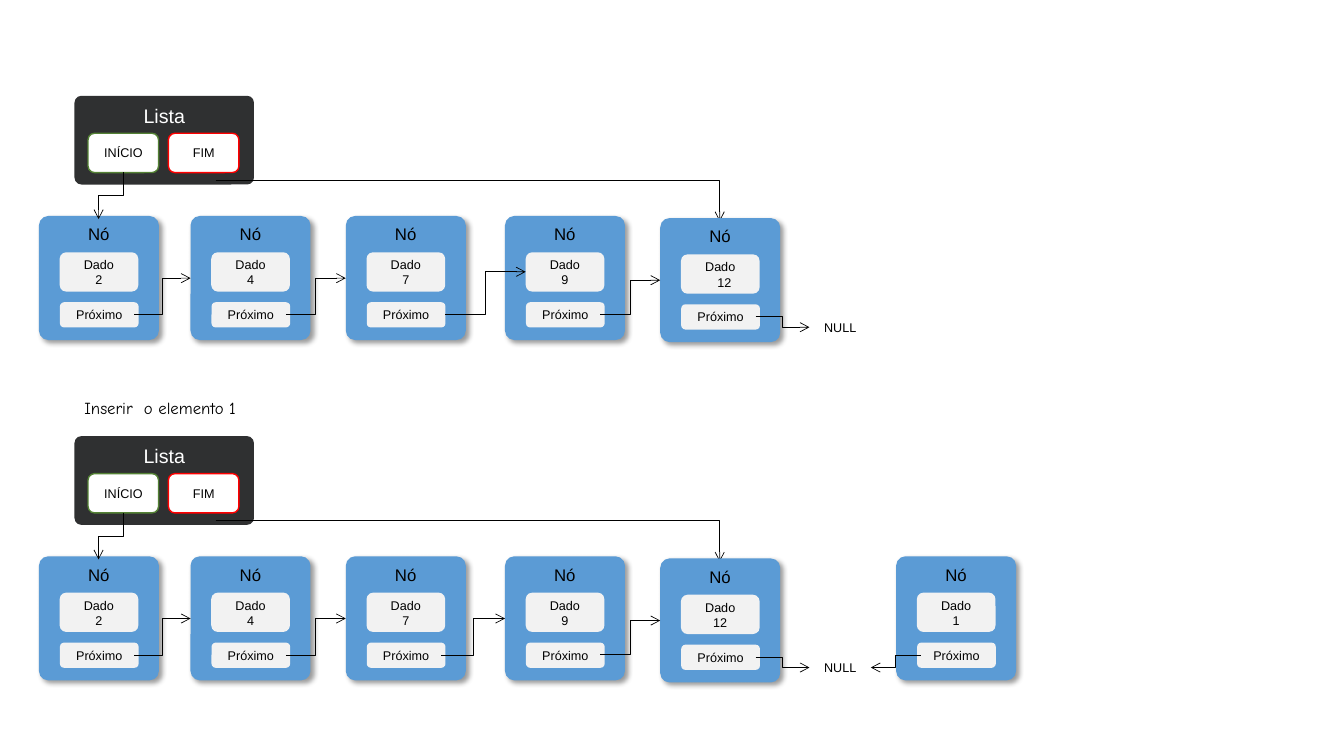
from lxml.etree import SubElement
from pptx import Presentation
from pptx.dml.color import RGBColor
from pptx.enum.shapes import MSO_CONNECTOR as Connector, MSO_SHAPE as Shape
from pptx.enum.text import MSO_AUTO_SIZE as AutoSize, PP_ALIGN as Align
from pptx.oxml.ns import qn
from pptx.util import Pt

BLACK = RGBColor(0x00, 0x00, 0x00)
WHITE = RGBColor(0xFF, 0xFF, 0xFF)
BLUE = RGBColor(0x5B, 0x9B, 0xD5)
LIGHT = RGBColor(0xF2, 0xF2, 0xF2)
DARK = RGBColor(0x2F, 0x30, 0x31)
RED = RGBColor(0xFF, 0x00, 0x00)
GREEN = RGBColor(0x54, 0x82, 0x35)

NODE_WIDTH, NODE_HEIGHT = 85.7, 88.6
NODE_LEFTS = [27.8, 136.1, 247, 360.7, 471.6]
NODE_VALUES = ["2", "4", "7", "9", "12"]
NEW_NODE_LEFT = 640.1
TAIL_DROP = 1.5  # the last node sits slightly lower
ROW_TOPS = [154.3, 397.4]
LINK_OUT = (68.2, 70.4)  # where a pointer leaves a node
LINK_IN = 44.4  # height at which a pointer reaches a node
NULL_LEFT, NULL_WIDTH = 578.2, 43.9


class ListDiagram:
    """Linked-list drawing style bound to one slide."""

    def __init__(self, page, font="Arial"):
        self.page = page
        self.shapes = page.shapes
        self.font = font

    def start_group(self):
        self.shapes = self.page.shapes.add_group_shape().shapes

    def end_group(self):
        self.shapes = self.page.shapes

    def box(self, left, top, width, height, fill, line=None, corner=None, shadow=False):
        box = self.shapes.add_shape(
            Shape.ROUNDED_RECTANGLE, Pt(left), Pt(top), Pt(width), Pt(height))
        box.shadow.inherit = False
        if corner is not None:
            box.adjustments[0] = corner
        box.fill.solid()
        box.fill.fore_color.rgb = fill
        if line is None:
            box.line.fill.background()
        else:
            box.line.color.rgb = line
            box.line.width = Pt(1)
        if shadow:
            effects = box._element.spPr.find(qn("a:effectLst"))
            outer = SubElement(effects, qn("a:outerShdw"), blurRad=str(Pt(4)),
                               dist=str(Pt(3)), dir="2700000", algn="tl", rotWithShape="0")
            color = SubElement(outer, qn("a:srgbClr"), val="000000")
            SubElement(color, qn("a:alpha"), val="40000")

    def label(self, text, left, top, width, height=18, size=9, color=BLACK,
              font=None, align=Align.CENTER, wrap=True):
        frame = self.shapes.add_textbox(Pt(left), Pt(top), Pt(width), Pt(height)).text_frame
        frame.word_wrap = wrap
        frame.auto_size = AutoSize.SHAPE_TO_FIT_TEXT
        para = frame.paragraphs[0]
        para.alignment = align
        span = para.add_run()
        span.text = text
        span.font.size = Pt(size)
        span.font.name = font or self.font
        span.font.color.rgb = color

    def arrow(self, start_x, start_y, end_x, end_y, preset="bentConnector3"):
        link = self.shapes.add_connector(
            Connector.ELBOW, Pt(start_x), Pt(start_y), Pt(end_x), Pt(end_y))
        link.line.color.rgb = BLACK
        link.line.width = Pt(0.5)
        SubElement(link.line._get_or_add_ln(), qn("a:tailEnd"), type="arrow")
        properties = link._element.spPr
        SubElement(properties, qn("a:effectLst"))
        properties.find(qn("a:prstGeom")).set("prst", preset)
        return link

    def down_arrow(self, start_x, start_y, end_x, end_y):
        """Elbow that leaves downwards, to a point lower on the left."""
        middle_x, middle_y = (start_x + end_x) / 2, (start_y + end_y) / 2
        half_x, half_y = (end_y - start_y) / 2, (start_x - end_x) / 2
        link = self.arrow(middle_x - half_x, middle_y - half_y,
                          middle_x + half_x, middle_y + half_y)
        link._element.spPr.find(qn("a:xfrm")).set("rot", "5400000")

    def node(self, left, top, value, value_shift=0):
        self.start_group()
        self.box(left, top, NODE_WIDTH, NODE_HEIGHT, BLUE, corner=0.078, shadow=True)
        self.label("Nó", left + 27.3, top + 2.2, 31, 21.8, size=12)
        self.box(left + 15, top + 61.6, 56.2, 18, LIGHT)
        self.label("Próximo", left + 17.7, top + 61.6, 50.8)
        self.box(left + 14.8, top + 25.9, 56.2, 28.1, LIGHT)
        self.label("Dado", left + 23.4, top + 25.9, 38.9)
        self.label(value, left + 30.2 + value_shift, top + 36.7, 25.3)
        self.end_group()

    def header(self, top):
        self.start_group()
        self.box(53.2, top, 128.2, 63.4, DARK, corner=0.078)
        for text, left, line in [("FIM", 120.3, RED), ("INÍCIO", 62.9, GREEN)]:
            self.box(left, top + 26.8, 50.4, 28.1, WHITE, line)
            self.label(text, left + 2.6, top + 31.7, 45.4)
        self.label("Lista", 92.5, top + 2.4, 49.7, 24.2, size=14, color=WHITE)
        self.end_group()

    def linked_list(self, top, points_into_data=False):
        tail_left, tail_top = NODE_LEFTS[-1], top + TAIL_DROP
        self.header(top - 85.9)

        # The FIM pointer runs behind the last node
        self.arrow(154.1, top - 25.7, 514.1, top + 3.7, preset="bentConnector2")
        for left, value in zip(NODE_LEFTS[:-1], NODE_VALUES):
            self.node(left, top, value)
        self.node(tail_left, tail_top, NODE_VALUES[-1],
                  value_shift=2.9 if points_into_data else 0)

        # Pointers between neighbours
        self.down_arrow(88.2, top - 31.2, 70.4, top + 2.2)
        for index, (left, following) in enumerate(zip(NODE_LEFTS, NODE_LEFTS[1:])):
            start_x, end_x, end_y = left + LINK_OUT[0], following, top + LINK_IN
            if following == tail_left:
                end_y += TAIL_DROP
            if points_into_data and index == 2:
                start_x, end_x, end_y = left + 70.8, following + 14.8, top + 39.9
            self.arrow(start_x, top + LINK_OUT[1], end_x, end_y)

        # End of the list
        self.arrow(tail_left + LINK_OUT[0], tail_top + LINK_OUT[1], NULL_LEFT, top + 79.4)
        self.label("NULL", NULL_LEFT, top + 70.4, NULL_WIDTH)


def main():
    deck = Presentation()
    deck.slide_width, deck.slide_height = Pt(960), Pt(540)
    diagram = ListDiagram(deck.slides.add_slide(deck.slide_layouts[6]))

    # List before and during the insertion
    before, during = ROW_TOPS
    diagram.linked_list(before, points_into_data=True)
    diagram.linked_list(during)

    # Node to be inserted
    diagram.node(NEW_NODE_LEFT, during, "1")
    diagram.arrow(NEW_NODE_LEFT + 17.5, during + LINK_OUT[1],
                  NULL_LEFT + NULL_WIDTH, during + 79.4)
    diagram.label("Inserir  o elemento 1", 53.2, 280.8, 131, 21.8, size=12,
                  font="Comic Neue", align=Align.LEFT, wrap=False)

    deck.save("out.pptx")


if __name__ == "__main__":
    main()
